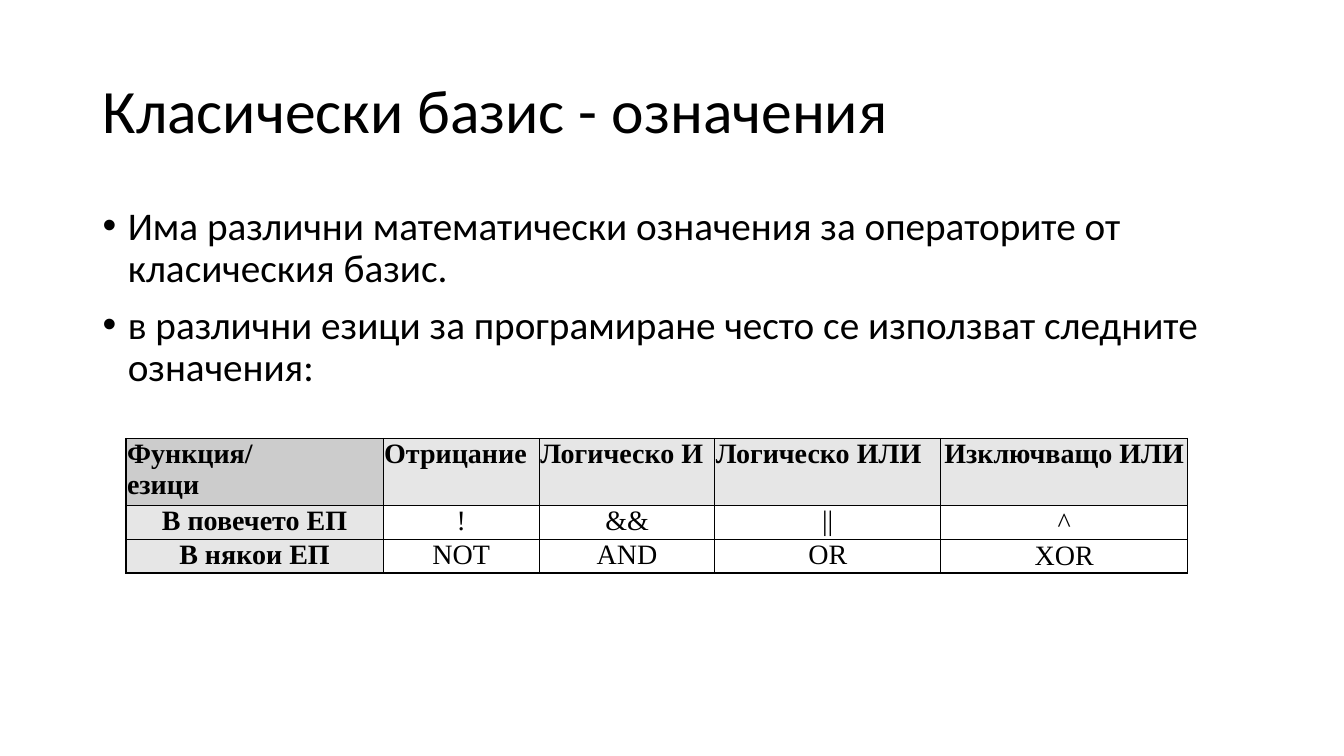
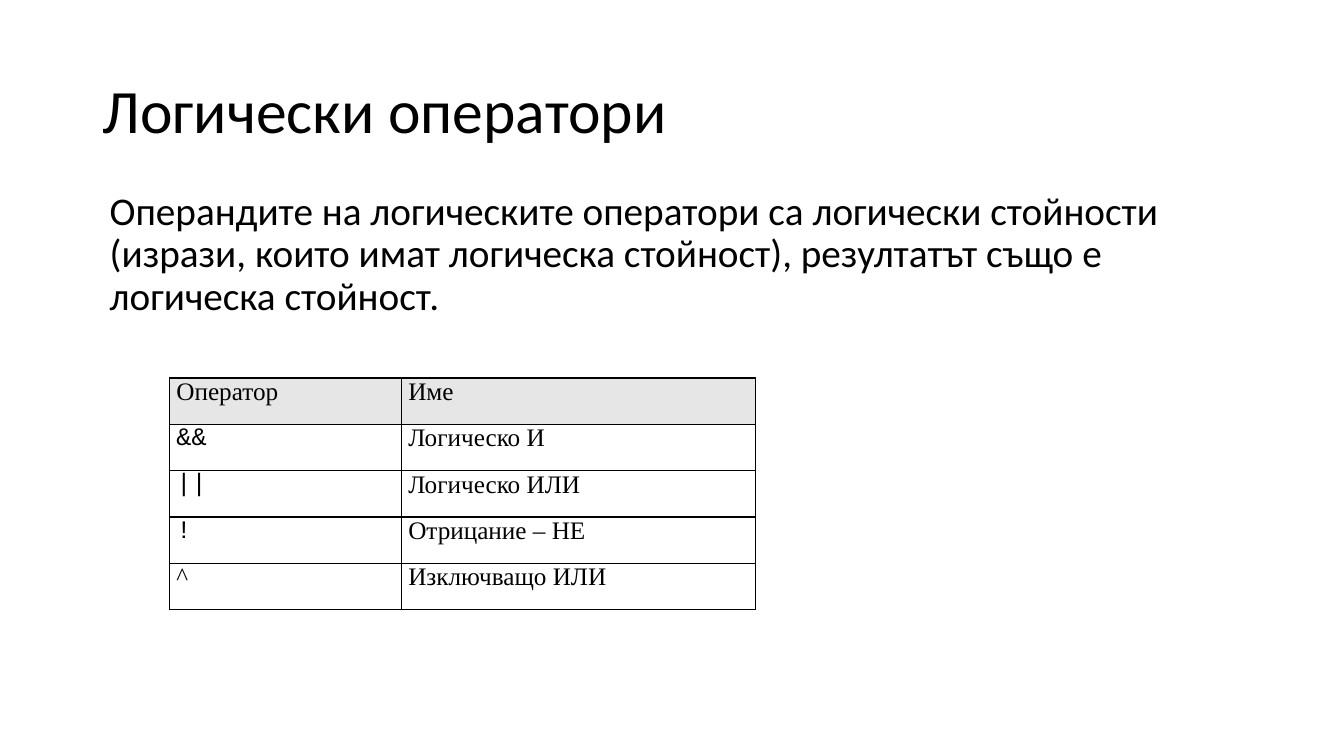
"""Build two slides on the notation of logical operators."""
from lxml import etree
from pptx import Presentation
from pptx.dml.color import RGBColor
from pptx.enum.text import MSO_ANCHOR, PP_ALIGN
from pptx.oxml.ns import qn
from pptx.util import Inches, Pt

BLACK = RGBColor(0x00, 0x00, 0x00)
GRAY = RGBColor(0xCC, 0xCC, 0xCC)
LIGHT_GRAY = RGBColor(0xE6, 0xE6, 0xE6)
TOP, MIDDLE = MSO_ANCHOR.TOP, MSO_ANCHOR.MIDDLE
LEFT, CENTER, JUSTIFY = PP_ALIGN.LEFT, PP_ALIGN.CENTER, PP_ALIGN.JUSTIFY
SANS, SERIF, MONO = "Calibri", "Times New Roman", "Courier New"
TITLE_BOX = (0.92, 0.4, 11.5, 1.45)
TITLE_FONT = {"name": SANS, "size": Pt(44)}
BODY_FONT = {"name": SANS, "size": Pt(28)}
TITLE_FORMAT = {"line_spacing": 0.9}
BODY_FORMAT = {"line_spacing": 0.9, "space_before": Pt(10)}


def apply(target, values):
    for name, value in values.items():
        setattr(target, name, value)


class Deck:
    """Hold the shared style and the current slide."""

    def __init__(self):
        self.presentation = Presentation()
        self.presentation.slide_width = Inches(13.33)
        self.presentation.slide_height = Inches(7.5)
        self.slide = None

    def add_slide(self, title):
        layout = self.presentation.slide_layouts[6]
        self.slide = self.presentation.slides.add_slide(layout)
        self.text(TITLE_BOX, [title], TITLE_FONT, TITLE_FORMAT, MIDDLE)

    def fill_text(self, frame, lines, font, paragraph_format):
        for index, line in enumerate(lines):
            paragraph = frame.add_paragraph() if index else frame.paragraphs[0]
            apply(paragraph, paragraph_format)
            run = paragraph.add_run()
            run.text = line
            apply(run.font, font)
            run.font.color.rgb = BLACK

    def text(self, box, lines, font, paragraph_format, anchor=TOP, bulleted=False):
        shape = self.slide.shapes.add_textbox(*map(Inches, box))
        frame = shape.text_frame
        apply(frame, {"word_wrap": True, "vertical_anchor": anchor})
        self.fill_text(frame, lines, font, paragraph_format)
        if bulleted:
            for paragraph in frame.paragraphs:
                self.bullet(paragraph)

    def bullet(self, paragraph):
        properties = paragraph._p.get_or_add_pPr()
        properties.set("marL", str(Inches(0.25)))
        properties.set("indent", str(-Inches(0.25)))
        etree.SubElement(properties, qn("a:buFont")).set("typeface", "Arial")
        etree.SubElement(properties, qn("a:buChar")).set("char", "•")

    def border(self, cell):
        properties = cell._tc.get_or_add_tcPr()
        for index, side in enumerate(("lnL", "lnR", "lnT", "lnB")):
            line = etree.Element(qn(f"a:{side}"), w=str(Pt(1)))
            fill = etree.SubElement(line, qn("a:solidFill"))
            etree.SubElement(fill, qn("a:srgbClr")).set("val", str(BLACK))
            properties.insert(index, line)

    def table(self, left, top, widths, heights, rows, inset, cell_style):
        box = (left, top, sum(widths), sum(heights))
        frame = self.slide.shapes.add_table(len(rows), len(widths), *map(Inches, box))
        table = frame.table
        for column, width in zip(table.columns, widths):
            column.width = Inches(width)
        for row, height in zip(table.rows, heights):
            row.height = Inches(height)
        margins = {
            "margin_left": Inches(inset),
            "margin_right": Inches(inset),
            "margin_top": 0,
            "margin_bottom": 0,
        }
        for row_index, row in enumerate(rows):
            for column_index, content in enumerate(row):
                cell = table.cell(row_index, column_index)
                font, alignment, anchor, color = cell_style(row_index, column_index)
                apply(cell, {**margins, "vertical_anchor": anchor})
                self.fill_text(cell.text_frame, content.split("\n"), font,
                               {"alignment": alignment})
                if color is None:
                    cell.fill.background()
                else:
                    cell.fill.solid()
                    cell.fill.fore_color.rgb = color
                self.border(cell)


def notation_style(row, column):
    heading = row == 0 or column == 0
    font = {"name": SERIF, "size": Pt(20), "bold": heading}
    alignment = LEFT if row == 0 and column < 4 else CENTER
    anchor = MIDDLE if row > 0 and column == 4 else TOP
    color = LIGHT_GRAY if heading else None
    return font, alignment, anchor, GRAY if row == column == 0 else color


def operator_style(row, column):
    code = column == 0 and row in (1, 2, 3)
    font = {"name": MONO if code else SERIF, "size": Pt(18), "bold": False}
    return font, JUSTIFY, TOP, LIGHT_GRAY if row == 0 else None


deck = Deck()

deck.add_slide("Класически базис - означения")
deck.text(
    (0.92, 2, 11.5, 2.28),
    [
        "Има различни математически означения за операторите от класическия базис.",
        "в различни езици за програмиране често се използват следните означения:",
    ],
    BODY_FONT, BODY_FORMAT, bulleted=True,
)
NOTATIONS = [
    ["Функция/\nезици", "Отрицание", "Логическо И", "Логическо ИЛИ", "Изключващо ИЛИ"],
    ["В повечето ЕП", "!", "&&", "||", "^"],
    ["В някои ЕП", "NOT", "AND", "OR", "XOR"],
]
deck.table(1.25, 4.35, [2.55, 1.55, 1.74, 2.24, 2.45], [0.62, 0.31, 0.31],
           NOTATIONS, 0.01, notation_style)

deck.add_slide("Логически оператори")
OPERATORS = [
    ["Оператор", "Име"],
    ["&&", "Логическо И"],
    ["||", "Логическо ИЛИ"],
    ["!", "Отрицание – НЕ"],
    ["^", "Изключващо ИЛИ"],
]
deck.table(1.68, 3.75, [2.3, 3.51], [0.46] * len(OPERATORS),
           OPERATORS, 0.07, operator_style)
deck.text(
    (0.99, 1.85, 11.5, 1.72),
    ["Операндите на логическите оператори са логически стойности "
     "(изрази, които имат логическа стойност), резултатът също е логическа стойност."],
    BODY_FONT, BODY_FORMAT,
)

deck.presentation.save("out.pptx")
